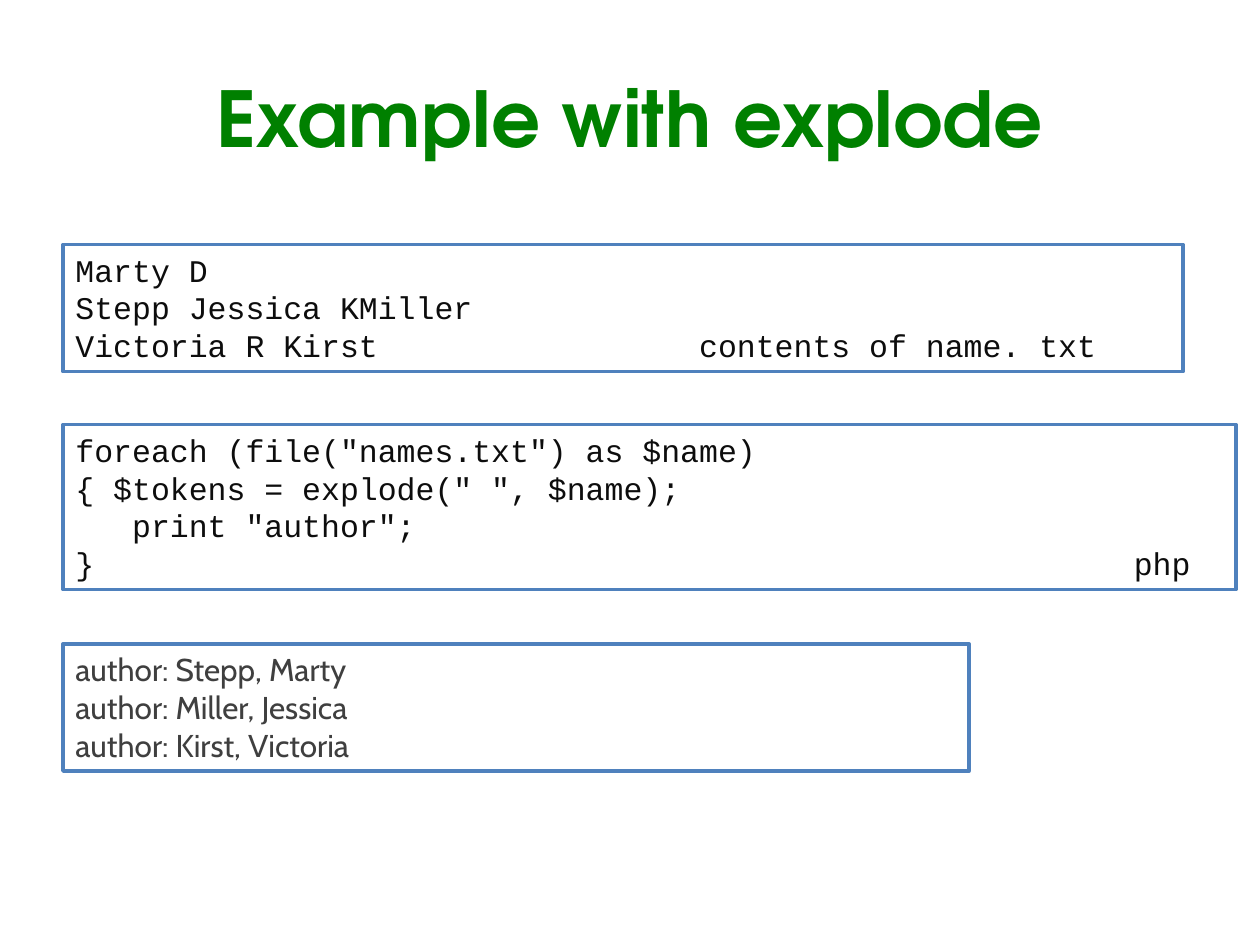
import pptx
import pptx.dml.color
import pptx.enum.shapes
import pptx.enum.text
import pptx.oxml
import pptx.oxml.ns
import pptx.util

Pt = pptx.util.Pt
ALIGN = pptx.enum.text.PP_ALIGN
ANCHOR = pptx.enum.text.MSO_ANCHOR
AUTO_SIZE = pptx.enum.text.MSO_AUTO_SIZE

TITLE_FONT = {"name": "TeX Gyre Adventor", "size": Pt(44), "bold": True}
CODE_FONT = {"name": "Courier New", "size": Pt(18)}
OUTPUT_FONT = {"name": "Cabin", "size": Pt(18)}
LEFT = 36
CHARACTER_WIDTH = 10.8  # one Courier New character at 18 pt


def color(hex_value):
    return pptx.dml.color.RGBColor.from_string(hex_value)


def format_span(span, font_values, hex_value):
    for name, value in font_values.items():
        setattr(span.font, name, value)
    span.font.color.rgb = color(hex_value)


def set_paragraph_columns(para, indent=0, tab=0):
    """Set the left indent and the tab stop, both in characters."""
    properties = para._p.get_or_add_pPr()
    if indent:
        properties.set("marL", str(Pt(indent * CHARACTER_WIDTH)))
        properties.set("indent", "0")
    if tab:
        position = Pt(tab * CHARACTER_WIDTH)
        properties.append(pptx.oxml.parse_xml(
            f'<a:tabLst {pptx.oxml.ns.nsdecls("a")}>'
            f'<a:tab pos="{position}" algn="l"/></a:tabLst>'))


def add_title(page, text):
    title = page.shapes.title
    title.left, title.top, title.width, title.height = Pt(36), Pt(21.6), Pt(648), Pt(90)
    title.text_frame.vertical_anchor = ANCHOR.MIDDLE
    para = title.text_frame.paragraphs[0]
    para.alignment = ALIGN.CENTER
    span = para.add_run()
    span.text = text
    format_span(span, TITLE_FONT, "008000")


def add_listing(page, top, width, height, lines, font_values, hex_value):
    """Add an outlined box; each line is its text and its column settings."""
    box = page.shapes.add_shape(
        pptx.enum.shapes.MSO_SHAPE.RECTANGLE, Pt(LEFT), Pt(top), Pt(width), Pt(height))
    box.shadow.inherit = False
    box.fill.solid()
    box.fill.fore_color.rgb = color("FFFFFF")
    box.line.color.rgb = color("4F81BD")
    box.line.width = Pt(2)

    frame = box.text_frame
    frame_values = {"word_wrap": True, "vertical_anchor": ANCHOR.TOP,
                    "auto_size": AUTO_SIZE.SHAPE_TO_FIT_TEXT}
    for name, value in frame_values.items():
        setattr(frame, name, value)
    for number, (text, columns) in enumerate(lines):
        para = frame.add_paragraph() if number else frame.paragraphs[0]
        para.alignment = ALIGN.LEFT
        set_paragraph_columns(para, **columns)
        span = para.add_run()
        span.text = text
        format_span(span, font_values, hex_value)


def main():
    deck = pptx.Presentation()
    deck.slide_width, deck.slide_height = Pt(720), Pt(540)
    page = deck.slides.add_slide(deck.slide_layouts.get_by_name("Title Only"))
    add_title(page, "Example with explode")

    # Contents of the input file
    add_listing(page, 139.68, 640.08, 72.72, [
        ("Marty D", {}),
        ("Stepp Jessica KMiller", {}),
        ("Victoria R Kirst\tcontents of name. txt", {"tab": 33}),
    ], CODE_FONT, "0D0D0D")

    # PHP code
    add_listing(page, 242.64, 670.32, 94.32, [
        ('foreach (file("names.txt") as $name)', {}),
        ('{ $tokens = explode(" ", $name);', {}),
        ('print "author";', {"indent": 3}),
        ("}\tphp", {"tab": 56}),
    ], CODE_FONT, "0D0D0D")

    # Printed result
    authors = ["Stepp, Marty", "Miller, Jessica", "Kirst, Victoria"]
    add_listing(page, 367.92, 517.68, 72.72,
                [(f"author: {author}", {}) for author in authors],
                OUTPUT_FONT, "3F3F3F")

    deck.save("out.pptx")


if __name__ == "__main__":
    main()
